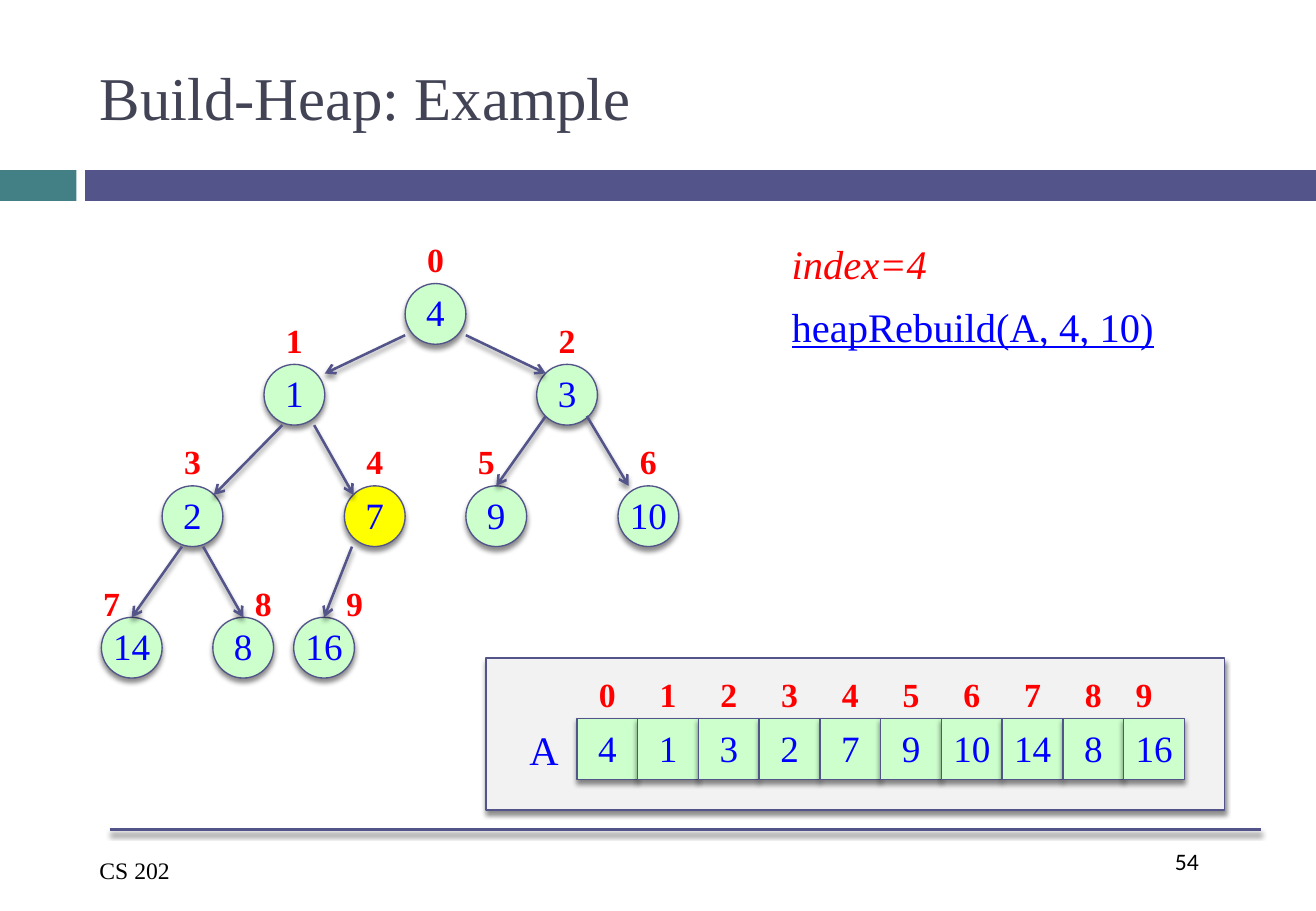
from dataclasses import dataclass

from lxml.etree import SubElement
from pptx import Presentation
from pptx.dml.color import RGBColor
from pptx.enum.shapes import MSO_CONNECTOR, MSO_SHAPE
from pptx.enum.text import MSO_ANCHOR, MSO_AUTO_SIZE, PP_ALIGN
from pptx.oxml.ns import qn
from pptx.util import Cm, Pt


@dataclass(frozen=True)
class Theme:
    """Colours, fonts and type sizes of the slide."""
    teal: str = "438086"
    indigo: str = "53548A"
    heading: str = "424456"
    black: str = "000000"
    panel: str = "F2F2F2"
    green: str = "CCFFCC"
    yellow: str = "FFFF00"
    value: str = "0000FF"
    index: str = "FF0000"
    serif: str = "Times New Roman"
    sans: str = "Calibri"
    title_size: float = 36
    call_size: float = 24
    value_size: float = 22
    index_size: float = 20
    footer_size: float = 14
    outline: float = 0.79
    rule: float = 1.5


THEME = Theme()
HEAP = [4, 1, 3, 2, 7, 9, 10, 14, 8, 16]
CURRENT = 4
CELL = 1.27
RADIUS = CELL / 2
INDEX_HEIGHT = 1.12

# Left edge of each node and top of each level, from the corner of the tree
NODE_LEFTS = [6.35, 3.4, 9.1, 1.27, 5.08, 7.62, 10.8, 0, 2.33, 4.02]
LEVEL_TOPS = [1.06, 2.75, 5.29, 8.04]
INDEX_RISES = [1.06, 1.06, 1.06, 0.85]
INDEX_SHIFTS = {5: -0.21, 7: -0.42, 8: 0.42, 9: 0.64}
# Child: edge start about the parent's centre, edge end about the child's, in radii
EDGES = {
    1: ((-1, 0.7), (1, -0.7)),
    2: ((1, 0.7), (-0.7, -0.7)),
    3: ((-0.4, 1), (0.7, -0.7)),
    4: ((0.65, 1), (-0.7, -0.7)),
    5: ((-0.7, 0.7), (0, -1)),
    6: ((0.65, 0.7), (-0.65, -1)),
    7: ((-0.35, 1), (0, -1)),
    8: ((0.35, 1), (0, -1)),
    9: ((-0.75, 1), (0, -1)),
}


def rgb(colour):
    """Turn a theme colour into an RGBColor."""
    return RGBColor.from_string(colour)


def style_runs(paragraph, size, colour, font=THEME.serif, bold=False, italic=False,
               underline=False):
    """Format every run of a paragraph."""
    for run in paragraph.runs:
        run.font.name, run.font.size = font, Pt(size)
        run.font.color.rgb = rgb(colour)
        run.font.bold, run.font.italic, run.font.underline = bold, italic, underline


def cast_shadow(drawn):
    """Give a shape or connector the soft shadow that falls below it."""
    effects = SubElement(drawn._element.spPr, qn("a:effectLst"))
    shadow = SubElement(effects, qn("a:outerShdw"), blurRad="38100", dist="30480",
                        dir="5400000", rotWithShape="0")
    black = SubElement(shadow, qn("a:srgbClr"), val=THEME.black)
    SubElement(black, qn("a:alpha"), val="45000")


def add_block(slide, kind, box, fill, outlined=True):
    """Draw a filled shape, with outline and shadow unless it is flat."""
    block = slide.shapes.add_shape(kind, *map(Cm, box))
    block.fill.solid()
    block.fill.fore_color.rgb = rgb(fill)
    if outlined:
        block.line.color.rgb = rgb(THEME.indigo)
        block.line.width = Pt(THEME.outline)
        cast_shadow(block)
    else:
        block.line.fill.background()
        block.shadow.inherit = False
    return block


def add_line(slide, start, end, arrow=False):
    """Draw a shadowed line, with an open arrowhead when asked."""
    line = slide.shapes.add_connector(MSO_CONNECTOR.STRAIGHT, *map(Cm, (*start, *end)))
    line.line.color.rgb = rgb(THEME.indigo)
    line.line.width = Pt(THEME.rule)
    if arrow:
        SubElement(line.line._get_or_add_ln(), qn("a:tailEnd"), type="arrow")
    cast_shadow(line)


def add_text(slide, box, text, size, colour, align=PP_ALIGN.LEFT, **style):
    """Place a text box whose paragraphs share one style."""
    frame = slide.shapes.add_textbox(*map(Cm, box)).text_frame
    frame.word_wrap = True
    frame.text = text
    if align == PP_ALIGN.CENTER:
        frame.margin_left = frame.margin_right = 0
    for paragraph in frame.paragraphs:
        paragraph.alignment = align
        style_runs(paragraph, size, colour, **style)
    return frame


def add_entry(slide, kind, left, top, value, fill=THEME.green):
    """Draw one heap entry, as a tree node or an array cell."""
    entry = add_block(slide, kind, (left, top, CELL, CELL), fill)
    frame = entry.text_frame
    frame.margin_left = frame.margin_right = frame.margin_top = 0
    frame.margin_bottom = Cm(0.08)
    frame.word_wrap = False
    frame.vertical_anchor = MSO_ANCHOR.MIDDLE
    frame.text = str(value)
    frame.paragraphs[0].alignment = PP_ALIGN.CENTER
    style_runs(frame.paragraphs[0], THEME.value_size, THEME.value)


def add_index(slide, left, top, index):
    """Write the index of an entry, centred over the width of a cell."""
    add_text(slide, (left, top, CELL, INDEX_HEIGHT), str(index), THEME.index_size,
             THEME.index, PP_ALIGN.CENTER, bold=True)


def draw_header(slide, box, title):
    """Fill the title placeholder and draw the two-part band under it."""
    left, top, width, height = box
    heading = slide.shapes.title
    heading.left, heading.top = Cm(left + 1.83), Cm(top + 0.64)
    heading.width, heading.height = Cm(24.54), Cm(2.74)
    frame = heading.text_frame
    frame.text = title
    frame.auto_size = MSO_AUTO_SIZE.NONE
    frame.vertical_anchor = MSO_ANCHOR.MIDDLE
    frame.paragraphs[0].alignment = PP_ALIGN.LEFT
    style_runs(frame.paragraphs[0], THEME.title_size, THEME.heading)
    band, tab, gap = 0.64, 1.6, 0.18
    band_top = top + height - band
    add_block(slide, MSO_SHAPE.RECTANGLE, (left, band_top, tab, band), THEME.teal, False)
    add_block(slide, MSO_SHAPE.RECTANGLE,
              (left + tab + gap, band_top, width - tab - gap, band), THEME.indigo, False)


def draw_tree(slide, box):
    """Draw the heap as a binary tree: nodes, edges, then indices."""
    left, top = box
    levels = [(index + 1).bit_length() - 1 for index in range(len(HEAP))]
    corners = [(left + x, top + LEVEL_TOPS[level]) for x, level in zip(NODE_LEFTS, levels)]
    for index, (value, corner) in enumerate(zip(HEAP, corners)):
        fill = THEME.yellow if index == CURRENT else THEME.green
        add_entry(slide, MSO_SHAPE.OVAL, *corner, value, fill)
    for child, (start, end) in EDGES.items():
        parent = (child - 1) // 2
        ends = [[edge + RADIUS * (1 + offset) for edge, offset in zip(corners[node], offsets)]
                for node, offsets in ((parent, start), (child, end))]
        add_line(slide, *ends, arrow=True)
    for index, (x, y) in enumerate(corners):
        add_index(slide, x + INDEX_SHIFTS.get(index, 0), y - INDEX_RISES[levels[index]], index)


def draw_array(slide, box):
    """Draw the panel that holds the heap as array A."""
    left, top, _, _ = box
    add_block(slide, MSO_SHAPE.RECTANGLE, box, THEME.panel)
    cell_top = top + CELL
    add_text(slide, (left + 0.64, cell_top, 1.14, CELL), "A", THEME.call_size,
             THEME.value, PP_ALIGN.CENTER)
    last = len(HEAP) - 1
    for index, value in enumerate(HEAP):
        x = left + 1.9 + index * CELL
        add_entry(slide, MSO_SHAPE.RECTANGLE, x, cell_top, value)
        add_index(slide, x - (0.21 if index == last else 0), top + 0.21, index)


def draw_call(slide, box):
    """Write the current index and the call made for it."""
    frame = add_text(slide, box, f"index={CURRENT}\nheapRebuild(A, {CURRENT}, {len(HEAP)})",
                     THEME.call_size, THEME.value)
    step, call = frame.paragraphs
    style_runs(step, THEME.call_size, THEME.index, italic=True)
    style_runs(call, THEME.call_size, THEME.value, underline=True)
    call.space_before = Pt(8.5)


def draw_footer(slide, box, course, page):
    """Draw the footer rule, the course name and the page number."""
    left, top, width, _ = box
    add_line(slide, (left + 0.46, top), (left + width, top))
    add_text(slide, (left, top + 0.43, 5.05, 0.86), course, THEME.footer_size, THEME.black)
    add_text(slide, (left + width - 2.06, top + 0.23, 2.06, 1.27), page,
             THEME.footer_size, THEME.black, font=THEME.sans)


def main():
    """Build the slide and save it."""
    deck = Presentation()
    deck.slide_width, deck.slide_height = Cm(27.51), Cm(19.05)
    slide = deck.slides.add_slide(deck.slide_layouts[5])
    draw_header(slide, (0, 0, 27.51, 4.2), "Build-Heap: Example")
    draw_footer(slide, (1.83, 17.35, 24.54, 1.7), "CS 202", "54")
    draw_array(slide, (10.16, 13.76, 15.44, 3.18))
    draw_tree(slide, (2.12, 4.87))
    draw_call(slide, (16.3, 4.87, 8.6, 2.54))
    deck.save("out.pptx")


main()
